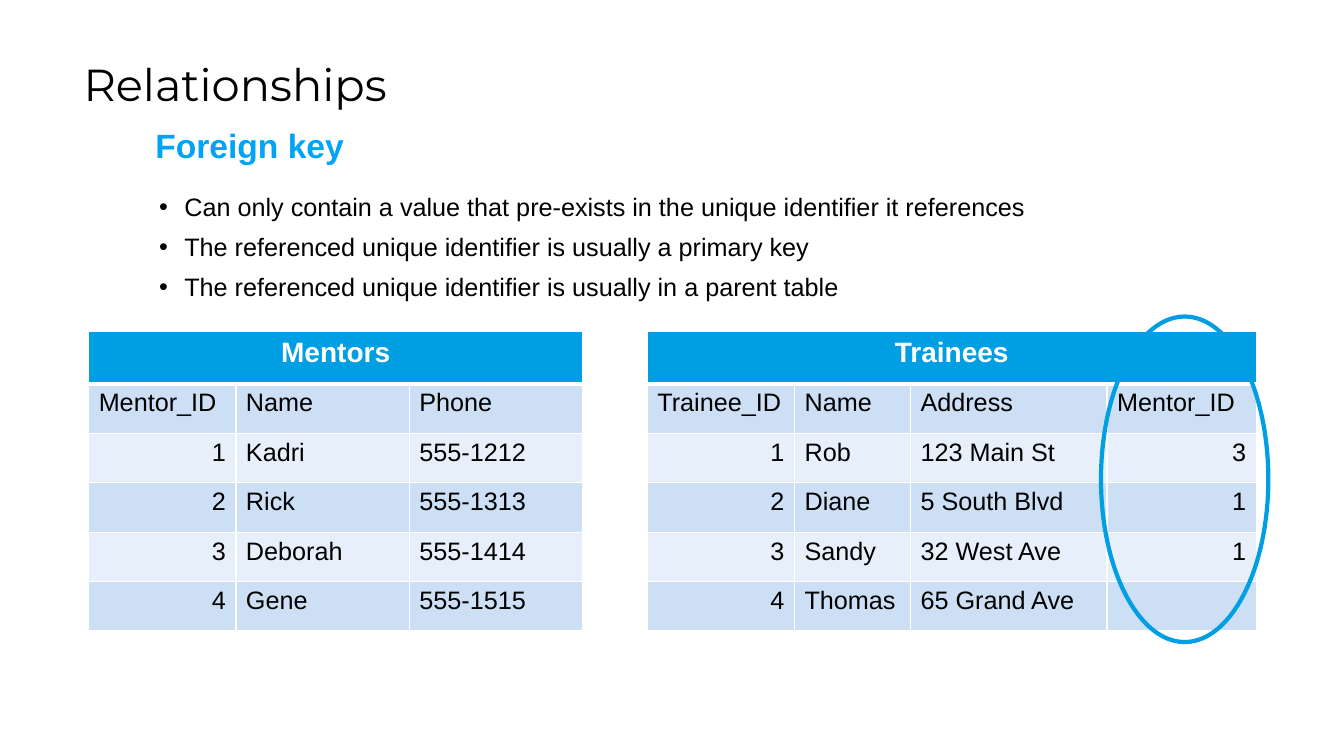
"""Build the Relationships slide: foreign key rules and two linked tables."""
from dataclasses import dataclass

from lxml import etree
from pptx import Presentation
from pptx import util as u
from pptx.dml.color import RGBColor
from pptx.enum import shapes, text
from pptx.oxml import ns

BLUE = "009FE3"
BANDS = ("CCDFF4", "E7F0FA")
WHITE = "FFFFFF"
BLACK = "000000"
TABLE_TOP = 3.29
HEADER_HEIGHT = 0.52
ROW_HEIGHT = 0.49


@dataclass(frozen=True)
class TableSpec:
    title: str
    left: float
    widths: tuple[float, ...]
    rows: tuple[tuple[str, ...], ...]


@dataclass(frozen=True)
class TextSpec:
    lines: tuple[str, ...]
    place: tuple[float, float, float, float]
    size: float
    font: str = "Arial"
    color: str = BLACK
    bold: bool = False
    bullet: bool = False
    inset: bool = True
    middle: bool = False


TEXTS = (
    TextSpec(("Relationships",), (0.73, 0.51, 7.98, 0.64), 32, font="Montserrat"),
    TextSpec(("Foreign key",), (1.54, 1.21, 10.92, 0.46), 24, color="00A4F6",
             bold=True, inset=False, middle=True),
    TextSpec((
        "Can only contain a value that pre-exists in the unique identifier it references",
        "The referenced unique identifier is usually a primary key",
        "The referenced unique identifier is usually in a parent table",
    ), (0.98, 1.84, 9.59, 1.18), 18, bullet=True),
)

TABLES = (
    TableSpec("Trainees", 6.42, (1.46, 1.15, 1.95, 1.48), (
        ("Trainee_ID", "Name", "Address", "Mentor_ID"),
        ("1", "Rob", "123 Main St", "3"),
        ("2", "Diane", "5 South Blvd", "1"),
        ("3", "Sandy", "32 West Ave", "1"),
        ("4", "Thomas", "65 Grand Ave", ""),
    )),
    TableSpec("Mentors", 0.88, (1.46, 1.72, 1.72), (
        ("Mentor_ID", "Name", "Phone"),
        ("1", "Kadri", "555-1212"),
        ("2", "Rick", "555-1313"),
        ("3", "Deborah", "555-1414"),
        ("4", "Gene", "555-1515"),
    )),
)


def rgb(color: str) -> RGBColor:
    return RGBColor.from_string(color)


def write(para, words: str, *, size: float, font: str = "Arial", color: str = BLACK,
          bold: bool = False, align=text.PP_ALIGN.LEFT) -> None:
    para.alignment = align
    span = para.add_run()
    span.text = words
    span.font.size = u.Pt(size)
    span.font.name = font
    span.font.bold = bold
    span.font.color.rgb = rgb(color)


def add_bullet(para) -> None:
    para.line_spacing = 1.04
    para.space_after = u.Pt(6)
    properties = para._p.get_or_add_pPr()
    properties.set("marL", str(u.Inches(0.75)))
    properties.set("indent", str(u.Inches(-0.25)))
    font = etree.SubElement(properties, ns.qn("a:buFont"))
    font.set("typeface", "Arial")
    etree.SubElement(properties, ns.qn("a:buChar")).set("char", "•")


def add_text(page, spec: TextSpec) -> None:
    box = page.shapes.add_textbox(*map(u.Inches, spec.place))
    frame = box.text_frame
    frame.word_wrap = True
    if spec.middle:
        frame.vertical_anchor = text.MSO_ANCHOR.MIDDLE
    if not spec.inset:
        frame.margin_left = frame.margin_right = 0
        frame.margin_top = frame.margin_bottom = 0
    for index, line in enumerate(spec.lines):
        para = frame.add_paragraph() if index else frame.paragraphs[0]
        write(para, line, size=spec.size, font=spec.font, color=spec.color,
              bold=spec.bold)
        if spec.bullet:
            add_bullet(para)


def style_cell(cell, fill: str, bottom: float = 1, top: float = 1) -> None:
    properties = cell._tc.get_or_add_tcPr()
    for side, width in (("L", 1), ("R", 1), ("T", top), ("B", bottom)):
        border = etree.SubElement(properties, ns.qn(f"a:ln{side}"))
        border.set("w", str(u.Pt(width)))
        solid = etree.SubElement(border, ns.qn("a:solidFill"))
        etree.SubElement(solid, ns.qn("a:srgbClr")).set("val", WHITE)
    cell.fill.solid()
    cell.fill.fore_color.rgb = rgb(fill)


def add_table(page, spec: TableSpec) -> None:
    height = HEADER_HEIGHT + ROW_HEIGHT * len(spec.rows)
    place = (spec.left, TABLE_TOP, sum(spec.widths), height)
    frame = page.shapes.add_table(len(spec.rows) + 1, len(spec.widths),
                                  *map(u.Inches, place))
    table = frame.table
    for column, width in zip(table.columns, spec.widths):
        column.width = u.Inches(width)
    for index, row in enumerate(table.rows):
        row.height = u.Inches(ROW_HEIGHT if index else HEADER_HEIGHT)

    header = table.cell(0, 0)
    header.merge(table.cell(0, len(spec.widths) - 1))
    for cell in table.rows[0].cells:
        style_cell(cell, BLUE, bottom=3)
    write(header.text_frame.paragraphs[0], spec.title, size=20, color=WHITE,
          bold=True, align=text.PP_ALIGN.CENTER)

    for index, values in enumerate(spec.rows):
        for cell, value in zip(table.rows[index + 1].cells, values):
            style_cell(cell, BANDS[index % 2], top=1 if index else 3)
            align = text.PP_ALIGN.RIGHT if value.isdigit() else text.PP_ALIGN.LEFT
            write(cell.text_frame.paragraphs[0], value, size=18, align=align)


def add_highlight(page) -> None:
    ellipse = page.shapes.add_shape(shapes.MSO_SHAPE.OVAL,
                                    *map(u.Inches, (10.92, 3.14, 1.66, 3.23)))
    ellipse.shadow.inherit = False
    ellipse.fill.background()
    ellipse.line.color.rgb = rgb(BLUE)
    ellipse.line.width = u.Pt(3)


def main() -> None:
    deck = Presentation()
    deck.slide_width = u.Inches(13.33)
    deck.slide_height = u.Inches(7.5)
    page = deck.slides.add_slide(deck.slide_layouts[6])
    for spec in TEXTS:
        add_text(page, spec)
    for spec in TABLES:
        add_table(page, spec)
    add_highlight(page)
    deck.save("out.pptx")


if __name__ == "__main__":
    main()
